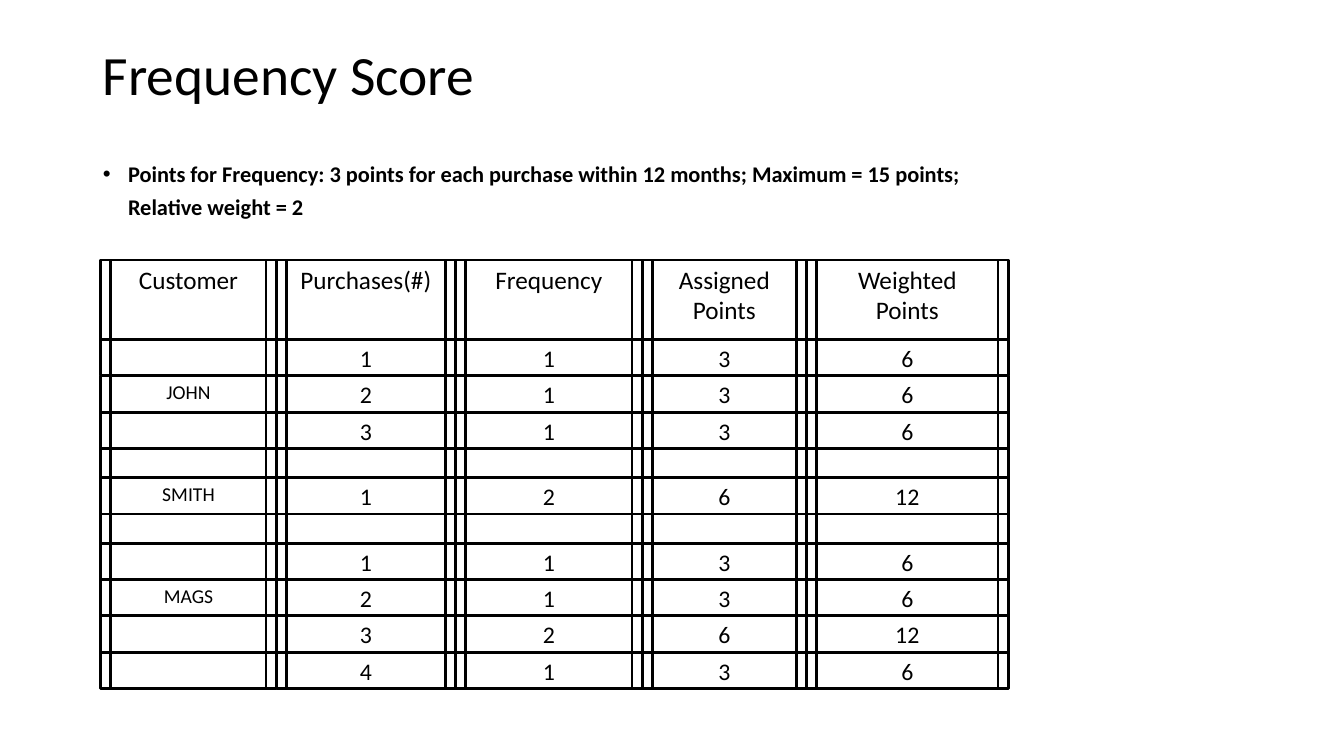
from itertools import accumulate

from lxml import etree
from pptx import Presentation
from pptx import util as u
from pptx.dml.color import RGBColor
from pptx.enum import shapes, text
from pptx.oxml.ns import qn

COLORS = {"ink": "000000"}
FONT = "Calibri"
HEADER_SIZE, NAME_SIZE, NUMBER_SIZE = 18, 14, 17

# All lengths are percentages of the slide's width or height.
TABLE_LEFT, TABLE_TOP = 7.5, 34.4
COLUMN_WIDTHS = [13.05, 13.35, 13.88, 12.23, 15]
HEADER_HEIGHT, ROW_HEIGHT, GAP_HEIGHT = 10.53, 4.8, 3.87
CELL_MARGIN = 0.75

HEADERS = ["Customer", "Purchases(#)", "Frequency", "Assigned Points", "Weighted Points"]
GAP = [""] * 5
ROWS = [
    ["", "1", "1", "3", "6"],
    ["JOHN", "2", "1", "3", "6"],
    ["", "3", "1", "3", "6"],
    GAP,
    ["SMITH", "1", "2", "6", "12"],
    GAP,
    ["", "1", "1", "3", "6"],
    ["MAGS", "2", "1", "3", "6"],
    ["", "3", "2", "6", "12"],
    ["", "4", "1", "3", "6"],
]


class SlideBuilder:
    def __init__(self, presentation):
        self.width = presentation.slide_width
        self.height = presentation.slide_height
        self.slide = presentation.slides.add_slide(presentation.slide_layouts[1])

    def box(self, left, top, width, height):
        """Turn percentages of the slide into lengths."""
        return (round(left * self.width / 100), round(top * self.height / 100),
                round(width * self.width / 100), round(height * self.height / 100))

    def set_text(self, shape, wording, size, align, anchor, bold=False):
        frame = shape.text_frame
        frame.word_wrap = True
        frame.auto_size = text.MSO_AUTO_SIZE.NONE
        frame.vertical_anchor = anchor
        paragraph = frame.paragraphs[0]
        paragraph.text = wording
        paragraph.alignment = align
        font = paragraph.font
        font.name, font.size, font.bold = FONT, u.Pt(size), bold
        font.color.rgb = RGBColor.from_string(COLORS["ink"])
        return paragraph

    def place(self, placeholder, area):
        (placeholder.left, placeholder.top,
         placeholder.width, placeholder.height) = self.box(*area)

    def title(self, wording, area):
        title = self.slide.shapes.title
        self.place(title, area)
        paragraph = self.set_text(title, wording, 39.6,
                                  text.PP_ALIGN.LEFT, text.MSO_ANCHOR.MIDDLE)
        paragraph.line_spacing = 0.9

    def bullet(self, wording, area):
        body = self.slide.placeholders[1]
        self.place(body, area)
        paragraph = body.text_frame.paragraphs[0]
        properties = paragraph._p.get_or_add_pPr()
        properties.set("marL", str(u.Inches(0.25)))
        properties.set("indent", str(u.Inches(-0.25)))
        etree.SubElement(properties, qn("a:buFont"), typeface="Arial")
        etree.SubElement(properties, qn("a:buChar"), char="•")
        self.set_text(body, wording, 16, text.PP_ALIGN.LEFT, text.MSO_ANCHOR.TOP, bold=True)
        paragraph.line_spacing = 1.2
        paragraph.space_before = u.Pt(0)

    def rectangle(self, group, area):
        shape = group.shapes.add_shape(shapes.MSO_SHAPE.RECTANGLE, *self.box(*area))
        shape.shadow.inherit = False
        shape.fill.background()
        shape.line.color.rgb = RGBColor.from_string(COLORS["ink"])
        shape.line.width = u.Pt(2)
        return shape

    def cell(self, group, wording, size, left, top, width, height):
        """Draw a text rectangle inside a wider frame of the same height."""
        inner = self.rectangle(
            group, (left + CELL_MARGIN, top, width - 2 * CELL_MARGIN, height))
        if wording:
            frame = inner.text_frame
            frame.margin_left = frame.margin_right = u.Inches(0.08)
            frame.margin_top = frame.margin_bottom = u.Inches(0.04)
            self.set_text(inner, wording, size, text.PP_ALIGN.CENTER, text.MSO_ANCHOR.TOP)
        self.rectangle(group, (left, top, width, height))

    def score_grid(self, headers, rows):
        group = self.slide.shapes.add_group_shape()
        heights = [HEADER_HEIGHT] + [ROW_HEIGHT if any(row) else GAP_HEIGHT for row in rows]
        lefts = list(accumulate(COLUMN_WIDTHS, initial=TABLE_LEFT))
        tops = accumulate(heights, initial=TABLE_TOP)
        for number, (row, top, height) in enumerate(zip([headers] + rows, tops, heights)):
            for column, wording in enumerate(row):
                if number == 0:
                    size = HEADER_SIZE
                else:
                    size = NAME_SIZE if column == 0 else NUMBER_SIZE
                self.cell(group, wording, size, lefts[column], top,
                          COLUMN_WIDTHS[column], height)


def main():
    presentation = Presentation()
    presentation.slide_width = u.Inches(13.33)
    presentation.slide_height = u.Inches(7.5)
    builder = SlideBuilder(presentation)
    builder.title("Frequency Score", (6.9, 5.33, 86.27, 9.73))
    builder.bullet("Points for Frequency: 3 points for each purchase within 12 months; "
                   "Maximum = 15 points; Relative weight = 2", (6.9, 19.87, 67.52, 9.87))
    builder.score_grid(HEADERS, ROWS)
    presentation.save("out.pptx")


if __name__ == "__main__":
    main()
